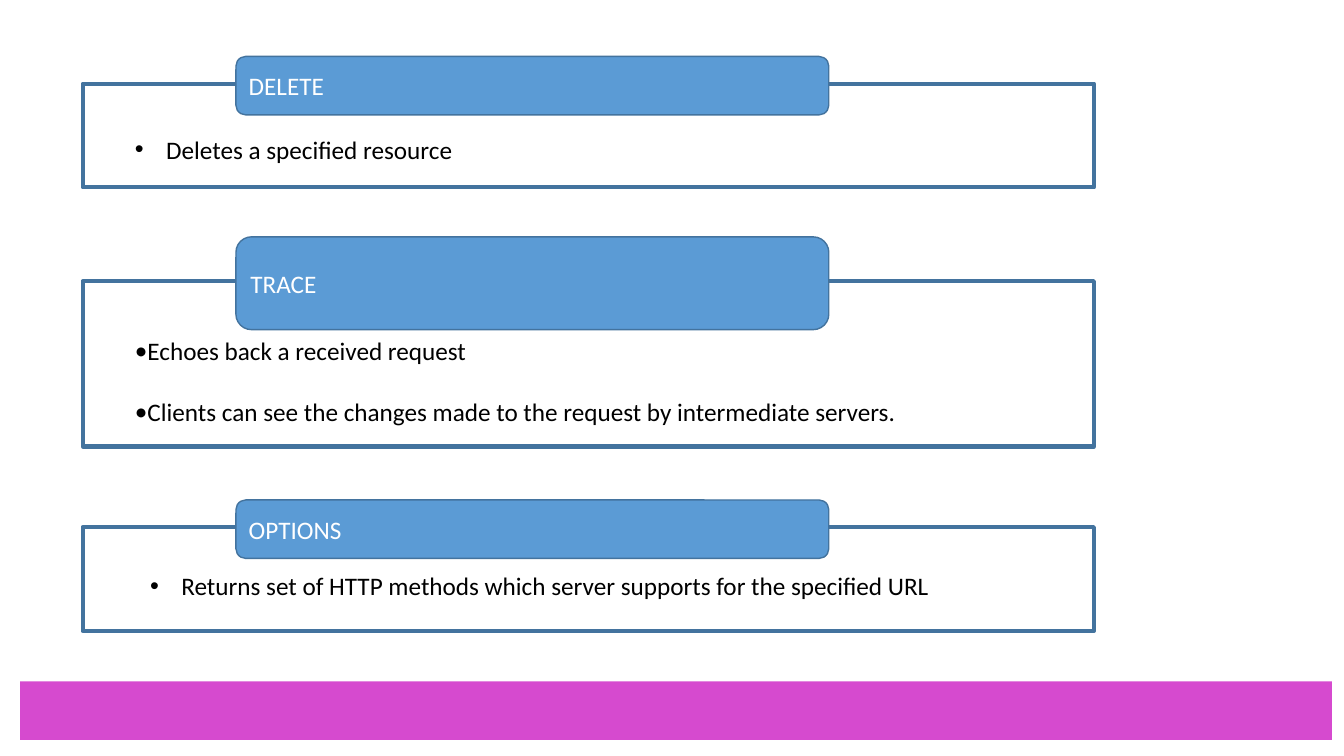
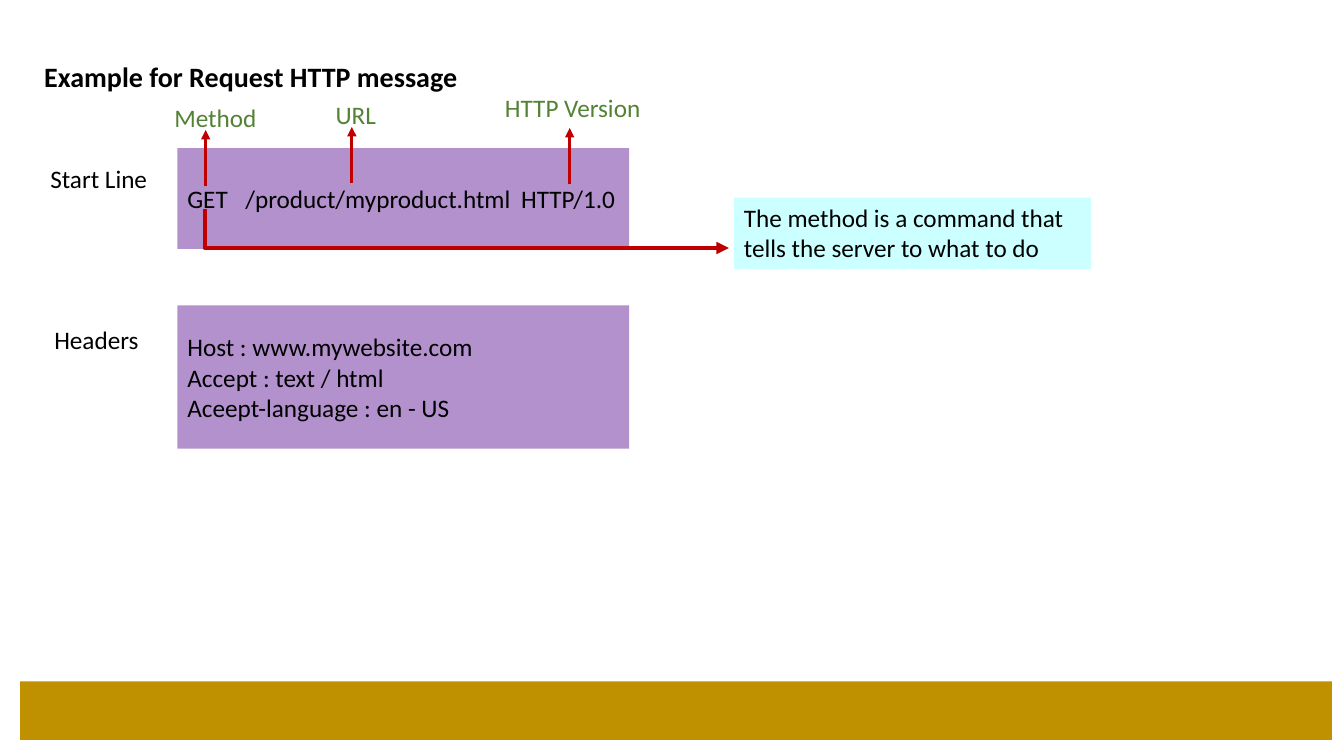
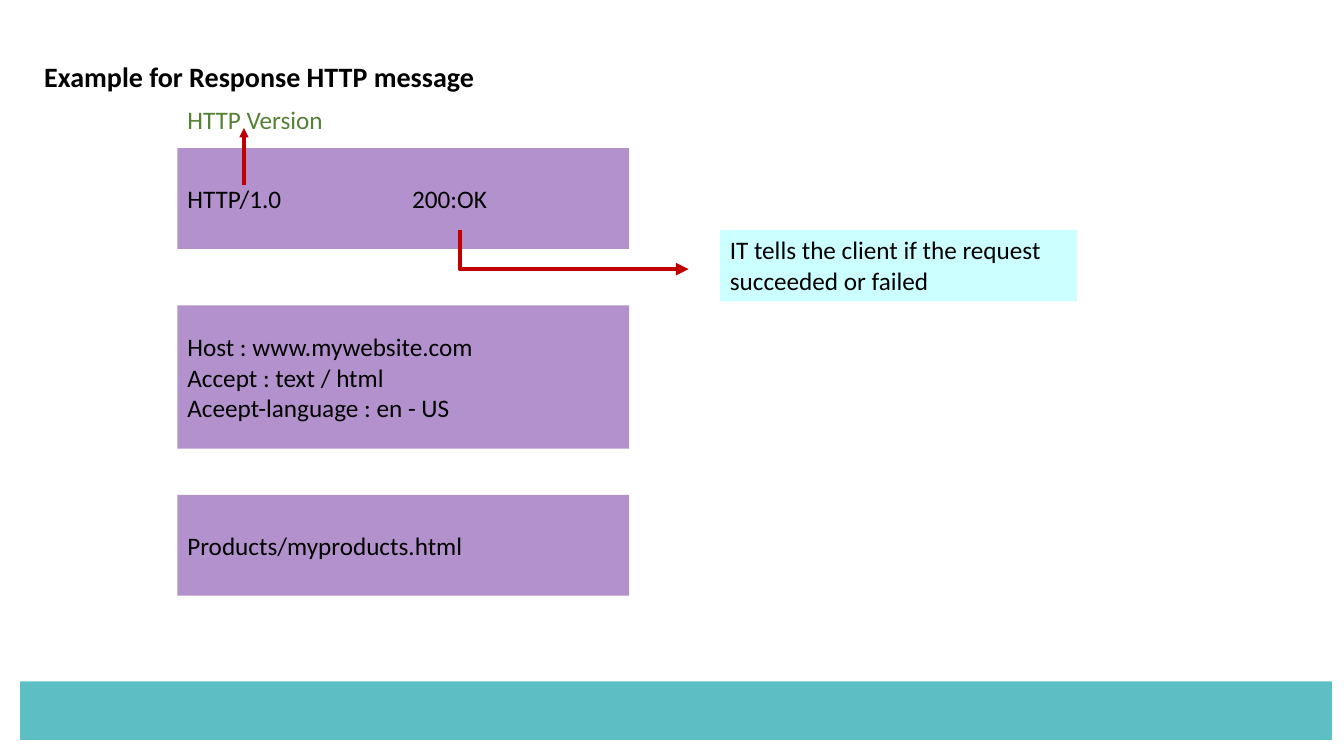
from dataclasses import dataclass

from lxml import etree
from pptx import Presentation
from pptx.dml.color import RGBColor
from pptx.enum.shapes import MSO_CONNECTOR as Link, MSO_SHAPE as Preset
from pptx.enum.text import MSO_ANCHOR as Anchor, PP_ALIGN as Align
from pptx.oxml.ns import qn
from pptx.util import Inches, Pt

COLUMNS, ROWS = 133.3, 75
CELL = 0.1  # inches per grid cell

FONT = "Calibri"
BLACK, WHITE = "000000", "FFFFFF"
TAG_BLUE, EDGE_BLUE = "5B9BD5", "43739E"
CODE_PURPLE, NOTE_CYAN = "B391CD", "CCFFFF"
LABEL_GREEN, ARROW_RED = "548235", "C00000"

LINE_HEIGHT = 4
CODE_LEFT, CODE_WIDTH = 17.6, 44.8
HEADER_LINES = ("Host : www.mywebsite.com", "Accept : text / html",
                "Aceept-language : en - US")


@dataclass(frozen=True)
class Area:
    """A rectangle in grid cells."""
    left: float
    top: float
    width: float
    height: float


@dataclass(frozen=True)
class Bullet:
    font: str
    indent: float


@dataclass(frozen=True)
class MethodCard:
    method: str
    top: float
    height: float
    tag_height: float
    text_left: float
    text_top: float
    points: tuple[str, ...]
    bullet: Bullet


@dataclass(frozen=True)
class CodeBlock:
    top: float
    height: float
    lines: tuple[str, ...]
    tabs: tuple[float, ...] = ()


@dataclass(frozen=True)
class Label:
    text: str
    left: float
    top: float
    width: float
    color: str = BLACK


@dataclass(frozen=True)
class Arrow:
    x1: float
    y1: float
    x2: float
    y2: float


@dataclass(frozen=True)
class MessageSlide:
    title: str
    band: str
    blocks: tuple[CodeBlock, ...]
    labels: tuple[Label, ...]
    pointers: tuple[Arrow, ...]
    elbow: Arrow
    note: str
    note_left: float
    note_top: float


WIDE = Bullet("Arial", 3.1)
TIGHT = Bullet(FONT, 1.2)

METHOD_CARDS = (
    MethodCard("DELETE", 8.3, 10.3, 5.8, 12.4, 12.8,
               ("Deletes a specified resource",), WIDE),
    MethodCard("TRACE", 27.9, 16.4, 9.2, 12.4, 32.8,
               ("Echoes back a received request",
                "Clients can see the changes made to the request by intermediate servers."),
               TIGHT),
    MethodCard("OPTIONS", 52.3, 10.3, 5.8, 13.9, 56.1,
               ("Returns set of HTTP methods which server supports for the specified URL",),
               WIDE),
)

HEADERS = CodeBlock(30.3, 14.2, HEADER_LINES)

MESSAGES = (
    MessageSlide(
        title="Example for Request HTTP message",
        band="BF9000",
        blocks=(
            CodeBlock(14.7, 10, ("GET\t/product/myproduct.html\tHTTP/1.0",), (5.75, 33.1)),
            HEADERS,
        ),
        labels=(
            Label("Start Line", 4, 15.7, 12.1),
            Label("Headers", 4.4, 31.7, 11.6),
            Label("Method", 16.3, 9.7, 11.8, LABEL_GREEN),
            Label("URL", 32.3, 9.4, 7.5, LABEL_GREEN),
            Label("HTTP Version", 49.1, 8.7, 15.9, LABEL_GREEN),
        ),
        pointers=(
            Arrow(20.4, 18.5, 20.4, 12.9),
            Arrow(34.9, 18.2, 34.9, 12.6),
            Arrow(56.5, 18.3, 56.5, 12.7),
        ),
        elbow=Arrow(20.3, 20.7, 72.3, 24.6),
        note="The method is a command that tells the server to what to do",
        note_left=72.8,
        note_top=19.6,
    ),
    MessageSlide(
        title="Example for Response HTTP message",
        band="5DBEC3",
        blocks=(
            CodeBlock(14.7, 10, ("HTTP/1.0\t200:OK",), (22.3,)),
            HEADERS,
            CodeBlock(49.1, 10, ("Products/myproducts.html",)),
        ),
        labels=(Label("HTTP Version", 17.6, 9.9, 15.9, LABEL_GREEN),),
        pointers=(Arrow(24.2, 18.4, 24.2, 12.7),),
        elbow=Arrow(45.6, 22.8, 68.3, 26.7),
        note="IT tells the client if the request succeeded or failed",
        note_left=71.4,
        note_top=22.8,
    ),
)


def cells(count: float) -> int:
    return Inches(count * CELL)


def rgb(color: str) -> RGBColor:
    return RGBColor.from_string(color)


def place(area: Area) -> tuple[int, ...]:
    return tuple(map(cells, (area.left, area.top, area.width, area.height)))


def write(shape, lines: tuple[str, ...], color: str = BLACK, size: int = 18,
          bold: bool = False, anchor=Anchor.TOP) -> list:
    """Fill a shape with one paragraph a line and return the paragraphs."""
    frame = shape.text_frame
    frame.word_wrap = True
    frame.vertical_anchor = anchor
    paragraphs = [frame.paragraphs[0]] + [frame.add_paragraph() for _ in lines[1:]]
    for paragraph, line in zip(paragraphs, lines):
        paragraph.text = line
        paragraph.alignment = Align.LEFT
        font = paragraph.font
        font.name, font.size, font.bold = FONT, Pt(size), bold
        font.color.rgb = rgb(color)
    return paragraphs


def add_box(slide, area: Area, fill: str, edge: float = 0, preset=Preset.RECTANGLE):
    box = slide.shapes.add_shape(preset, *place(area))
    box.shadow.inherit = False
    box.fill.solid()
    box.fill.fore_color.rgb = rgb(fill)
    if edge:
        box.line.color.rgb = rgb(EDGE_BLUE)
        box.line.width = Pt(edge)
    else:
        box.line.fill.background()
    return box


def add_text(slide, area: Area, lines: tuple[str, ...], **style) -> list:
    return write(slide.shapes.add_textbox(*place(area)), lines, **style)


def set_bullet(paragraph, bullet: Bullet) -> None:
    properties = paragraph._p.get_or_add_pPr()
    indent = cells(bullet.indent)
    properties.set("marL", str(indent))
    properties.set("indent", str(-indent))
    marks = (etree.Element(qn("a:buFont"), typeface=bullet.font),
             etree.Element(qn("a:buChar"), char="•"))
    for mark in marks:
        properties.insert_element_before(mark, "a:tabLst", "a:defRPr", "a:extLst")


def set_tabs(paragraph, stops: tuple[float, ...]) -> None:
    tab_list = etree.Element(qn("a:tabLst"))
    for stop in stops:
        etree.SubElement(tab_list, qn("a:tab"), pos=str(cells(stop)), algn="l")
    paragraph._p.get_or_add_pPr().insert_element_before(tab_list, "a:defRPr", "a:extLst")


def add_arrow(slide, arrow: Arrow, width: float, link=Link.STRAIGHT):
    ends = map(cells, (arrow.x1, arrow.y1, arrow.x2, arrow.y2))
    connector = slide.shapes.add_connector(link, *ends)
    connector.line.color.rgb = rgb(ARROW_RED)
    connector.line.width = Pt(width)
    etree.SubElement(connector.line._get_or_add_ln(), qn("a:tailEnd"), type="triangle")
    etree.SubElement(connector._element.spPr, qn("a:effectLst"))
    return connector


def add_elbow(slide, arrow: Arrow) -> None:
    """Draw an arrow that goes down first and then across."""
    connector = add_arrow(slide, arrow, 3, Link.ELBOW)
    geometry = connector._element.spPr.find(qn("a:prstGeom"))
    adjustments = geometry.find(qn("a:avLst"))
    if adjustments is None:
        adjustments = etree.SubElement(geometry, qn("a:avLst"))
    etree.SubElement(adjustments, qn("a:gd"), name="adj1", fmla="val 0")


def new_slide(deck, band: str):
    slide = deck.slides.add_slide(deck.slide_layouts[6])
    add_box(slide, Area(2, 67.6, 130.1, 5.8), band)
    return slide


def draw_card(slide, card: MethodCard) -> None:
    add_box(slide, Area(8.2, card.top, 100.3, card.height), WHITE, 3)
    tag_top = card.top + 0.2 - card.tag_height / 2
    tag = add_box(slide, Area(23.4, tag_top, 58.8, card.tag_height), TAG_BLUE, 1,
                  Preset.ROUNDED_RECTANGLE)
    write(tag, (card.method,), WHITE, anchor=Anchor.MIDDLE)
    text_area = Area(card.text_left, card.text_top, 93.1, LINE_HEIGHT)
    for index, point in enumerate(add_text(slide, text_area, card.points)):
        set_bullet(point, card.bullet)
        if index:
            point.space_before = Pt(22)


def draw_message(slide, message: MessageSlide) -> None:
    add_text(slide, Area(3.4, 5.4, 125.1, 4.4), (message.title,), size=20, bold=True)
    for block in message.blocks:
        box = add_box(slide, Area(CODE_LEFT, block.top, CODE_WIDTH, block.height), CODE_PURPLE)
        paragraphs = write(box, block.lines, anchor=Anchor.MIDDLE)
        if block.tabs:
            set_tabs(paragraphs[0], block.tabs)
    for label in message.labels:
        add_text(slide, Area(label.left, label.top, label.width, LINE_HEIGHT),
                 (label.text,), color=label.color)
    for pointer in message.pointers:
        add_arrow(slide, pointer, 2.25)
    add_elbow(slide, message.elbow)
    note = add_box(slide, Area(message.note_left, message.note_top, 35.4, 7.1), NOTE_CYAN)
    write(note, (message.note,))


def main() -> None:
    deck = Presentation()
    deck.slide_width, deck.slide_height = cells(COLUMNS), cells(ROWS)
    methods = new_slide(deck, "D64ACF")
    for card in METHOD_CARDS:
        draw_card(methods, card)
    for message in MESSAGES:
        draw_message(new_slide(deck, message.band), message)
    deck.save("out.pptx")


if __name__ == "__main__":
    main()
